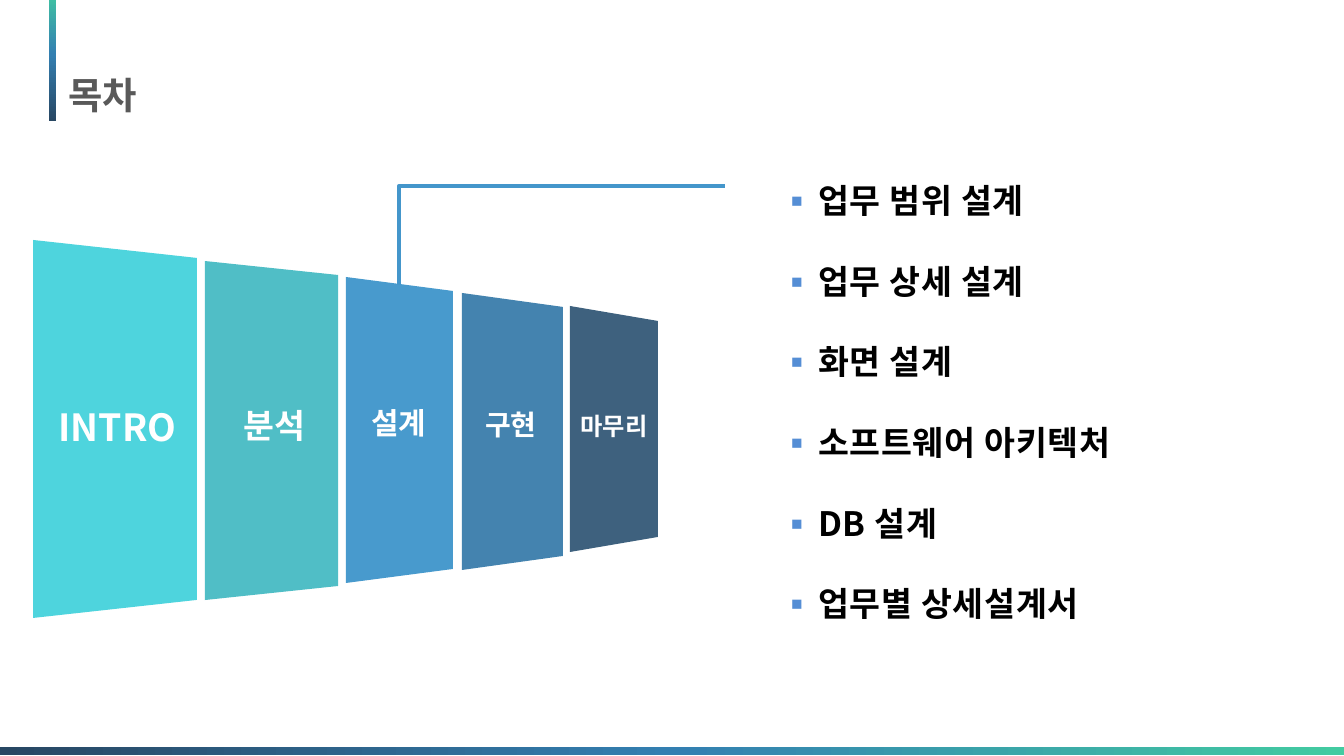
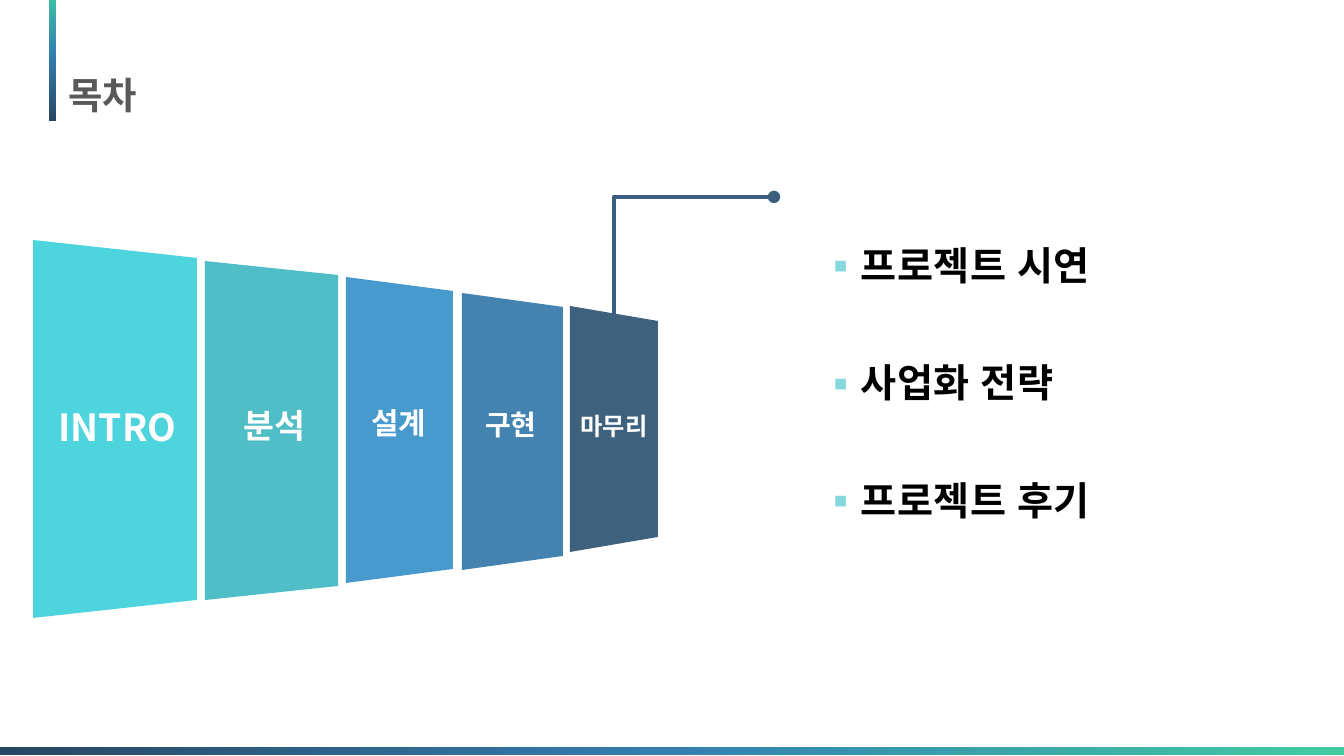
"""Builds two contents slides with a receding row of panels and a list of topics."""
from lxml.etree import SubElement
from pptx import Presentation
from pptx.dml.color import RGBColor
from pptx.enum.shapes import MSO_CONNECTOR, MSO_SHAPE
from pptx.enum.text import MSO_ANCHOR as ANCHOR, MSO_AUTO_SIZE as AUTO, PP_ALIGN as ALIGN
from pptx.oxml.ns import qn
from pptx.util import Emu, Pt

FONT = "Noto Sans CJK KR"
WHITE = RGBColor(0xFF, 0xFF, 0xFF)
BLACK = RGBColor(0, 0, 0)
GREY = RGBColor(0x59, 0x59, 0x59)
CYAN = RGBColor(0x4E, 0xD4, 0xDD)
TEAL = RGBColor(0x50, 0xBE, 0xC6)
BLUE = RGBColor(0x48, 0x9A, 0xCD)
STEEL = RGBColor(0x44, 0x83, 0xAF)
NAVY = RGBColor(0x3E, 0x61, 0x7E)
LINE_BLUE = RGBColor(0x44, 0x96, 0xCB)
LINE_NAVY = RGBColor(0x3A, 0x5F, 0x7E)
BULLET_BLUE = RGBColor(0x55, 0x8E, 0xD5)
BULLET_CYAN = RGBColor(0x85, 0xD8, 0xDE)
GRADIENT = [
    (0, RGBColor(0x42, 0xCB, 0xA1)),
    (50, RGBColor(0x33, 0x7F, 0xB1)),
    (100, RGBColor(0x28, 0x47, 0x63)),
]

TITLE = "목차"
# label, size, label box, panel left, top, width, height, slope, colour
PANELS = [
    ("INTRO", 20, (38, 398, 159, 59), (33, 240, 164, 378), 18, CYAN),
    ("분석", 18, (210, 398, 128, 54), (205, 261, 133, 339), 14, TEAL),
    ("설계", 16, (348, 398, 102, 50), (346, 277, 107, 306), 14, BLUE),
    ("구현", 15, (460, 401, 102, 47), (462, 293, 101, 277), 14, STEEL),
    ("마무리", 13, (563, 405, 102, 43), (570, 306, 88, 246), 15, NAVY),
]
SLIDES = [
    dict(
        topics=["업무 범위 설계", "업무 상세 설계", "화면 설계",
                "소프트웨어 아키텍처", "DB 설계", "업무별 상세설계서"],
        box=(767, 133, 492, 571), size=18, spacing=2.0, bullet=BULLET_BLUE,
        start=(399, 285), end=(725, 186), line=LINE_BLUE, dot=False,
    ),
    dict(
        topics=["프로젝트 시연", "사업화 전략", "프로젝트 후기"],
        box=(808, 164, 370, 349), size=21, spacing=2.5, bullet=BULLET_CYAN,
        start=(614, 315), end=(774, 197), line=LINE_NAVY, dot=True,
    ),
]


def px(n):
    return Emu(round(n * 914400 / 134.4))


def add_text(s, box, lines, size, color, align=ALIGN.LEFT, anchor=ANCHOR.TOP,
             auto=AUTO.SHAPE_TO_FIT_TEXT, spacing=None, bullet=None):
    tf = s.shapes.add_textbox(*map(px, box)).text_frame
    tf.word_wrap, tf.auto_size, tf.vertical_anchor = True, auto, anchor
    for i, line in enumerate(lines):
        p = tf.paragraphs[0] if i == 0 else tf.add_paragraph()
        p.alignment = align
        if spacing:
            p.line_spacing = spacing
        r = p.add_run()
        r.text = line
        r.font.size, r.font.bold, r.font.name = Pt(size), True, FONT
        r.font.color.rgb = color
        rpr = r.font._element
        SubElement(rpr, qn("a:ea"), typeface=FONT)
        if bullet is not None:
            rpr.set("spc", "40")
            ppr = p._p.get_or_add_pPr()
            ppr.set("marL", str(px(38)))
            ppr.set("indent", str(-px(38)))
            clr = SubElement(ppr, qn("a:buClr"))
            SubElement(clr, qn("a:srgbClr"), val=str(bullet))
            SubElement(ppr, qn("a:buFont"), typeface=FONT)
            SubElement(ppr, qn("a:buChar"), char="▪")


def add_plain(s, kind, box):
    sp = s.shapes.add_shape(kind, *map(px, box))
    sp.shadow.inherit = False
    sp.line.fill.background()
    return sp


def add_gradient_bar(s, box, angle):
    sp = add_plain(s, MSO_SHAPE.RECTANGLE, box)
    sp.fill.gradient()
    grad = sp._element.spPr.find(qn("a:gradFill"))
    for child in list(grad):
        grad.remove(child)
    stops = SubElement(grad, qn("a:gsLst"))
    for pos, color in GRADIENT:
        stop = SubElement(stops, qn("a:gs"), pos=str(pos * 1000))
        SubElement(stop, qn("a:srgbClr"), val=str(color))
    SubElement(grad, qn("a:lin"), ang=str(angle * 60000), scaled="0")


def add_panel(s, box, slope, color):
    x, y, w, h = box
    sp = add_plain(s, MSO_SHAPE.TRAPEZOID, (x + (w - h) / 2, y + (h - w) / 2, h, w))
    sp.rotation = 90
    sp.adjustments[0] = slope / w
    sp.fill.solid()
    sp.fill.fore_color.rgb = color


def add_elbow(s, start, end, color, dot):
    (x1, y1), (x2, y2) = start, end
    cx, cy = (x1 + x2) / 2, (y1 + y2) / 2
    dx, dy = (x2 - x1) / 2, (y1 - y2) / 2
    c = s.shapes.add_connector(MSO_CONNECTOR.ELBOW, px(cx + dy), px(cy + dx),
                               px(cx - dy), px(cy - dx))
    c.line.color.rgb, c.line.width = color, Pt(2.25)
    sppr = c._element.spPr
    sppr.find(qn("a:xfrm")).set("rot", "5400000")
    sppr.find(qn("a:prstGeom")).set("prst", "bentConnector2")
    if dot:
        SubElement(sppr.find(qn("a:ln")), qn("a:tailEnd"), type="oval")
    SubElement(sppr, qn("a:effectLst"))


def build_slide(prs, data):
    s = prs.slides.add_slide(prs.slide_layouts[6])
    add_gradient_bar(s, (0, 747, 1344, 8), 180)
    for label, size, label_box, box, slope, color in PANELS:
        add_panel(s, box, slope, color)
        add_text(s, label_box, [label], size, WHITE, align=ALIGN.CENTER)
    add_elbow(s, data["start"], data["end"], data["line"], data["dot"])
    add_text(s, data["box"], data["topics"], data["size"], BLACK,
             spacing=data["spacing"], bullet=data["bullet"])
    add_text(s, (55, 69, 508, 52), [TITLE], 20, GREY,
             anchor=ANCHOR.MIDDLE, auto=AUTO.NONE)
    add_gradient_bar(s, (49, -12, 7, 133), 90)


def main():
    prs = Presentation()
    prs.slide_width, prs.slide_height = px(1344), px(756)
    for data in SLIDES:
        build_slide(prs, data)
    prs.save("out.pptx")


if __name__ == "__main__":
    main()
